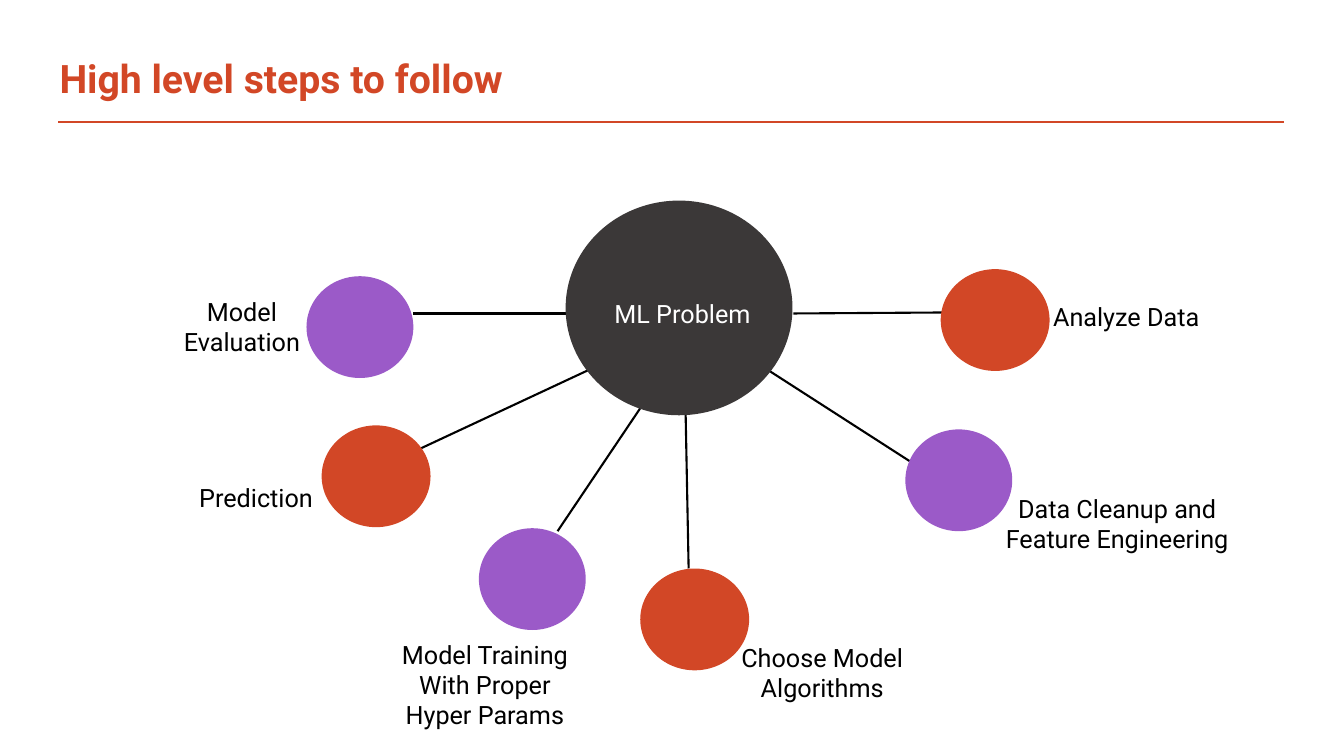
from dataclasses import dataclass

from lxml import etree
from pptx import Presentation
from pptx.dml.color import RGBColor
from pptx.enum.shapes import MSO_CONNECTOR, MSO_SHAPE
from pptx.enum.text import MSO_ANCHOR, MSO_AUTO_SIZE, PP_ALIGN
from pptx.oxml.ns import qn
from pptx.util import Inches, Pt

STRAIGHT = MSO_CONNECTOR.STRAIGHT
OVAL = MSO_SHAPE.OVAL
MIDDLE = MSO_ANCHOR.MIDDLE
GROW = MSO_AUTO_SIZE.SHAPE_TO_FIT_TEXT
LEFT, CENTER = PP_ALIGN.LEFT, PP_ALIGN.CENTER


@dataclass(frozen=True)
class Theme:
    accent: str = "D24726"
    violet: str = "9B5AC8"
    hub: str = "3B3838"
    ink: str = "000000"
    paper: str = "FFFFFF"
    font: str = "Roboto"
    title_size: float = 28
    label_size: float = 18
    rule_width: float = 2
    spoke_width: float = 1.5


THEME = Theme()
RED_NODE = (1.08, 1.01, THEME.accent)
VIOLET_NODE = (1.06, 1.01, THEME.violet)

STEPS = [
    (["Analyze Data"], (10.06, 2.94, 2.22, 0.4),
     RED_NODE, (9.33, 2.67), (7.87, 3.11), (9.36, 3.1)),
    (["Data Cleanup and Feature Engineering"], (9.82, 4.84, 2.52, 0.71),
     VIOLET_NODE, (8.98, 4.26), (7.6, 3.66), (9.03, 4.58)),
    (["Choose Model Algorithms"], (6.98, 6.32, 2.35, 0.71),
     RED_NODE, (6.35, 5.64), (6.8, 4.1), (6.83, 5.64)),
    (["Model Training", "With Proper Hyper Params"], (3.81, 6.29, 2, 1.01),
     VIOLET_NODE, (4.75, 5.24), (6.35, 4.05), (5.53, 5.27)),
    (["Prediction"], (1.54, 4.74, 2, 0.4),
     RED_NODE, (3.19, 4.22), (5.84, 3.67), (4.17, 4.45)),
    (["Model", "Evaluation"], (1.4, 2.89, 2, 0.71),
     VIOLET_NODE, (3.04, 2.74), (5.63, 3.11), (4.1, 3.11)),
]


def inches(values):
    return [Inches(v) for v in values]


def set_format(target, values):
    for name, value in values.items():
        setattr(target, name, value)


def style_font(font, size, color, bold=False):
    set_format(font, {"name": THEME.font, "size": Pt(size), "bold": bold})
    font.color.rgb = RGBColor.from_string(color)


def add_title(slide, text, box):
    sp = slide.shapes.title
    set_format(sp, dict(zip(("left", "top", "width", "height"), inches(box))))
    tf = sp.text_frame
    set_format(tf, {"word_wrap": True, "vertical_anchor": MIDDLE,
                    "auto_size": MSO_AUTO_SIZE.NONE})
    p = tf.paragraphs[0]
    set_format(p, {"alignment": LEFT, "line_spacing": 0.9})
    r = p.add_run()
    r.text = text
    style_font(r.font, THEME.title_size, THEME.accent, True)


def add_line(slide, start, end, color, width):
    line = slide.shapes.add_connector(STRAIGHT, *inches(start + end))
    line.line.color.rgb = RGBColor.from_string(color)
    line.line.width = Pt(width)
    etree.SubElement(line._element.spPr, qn("a:effectLst"))


def add_circle(slide, box, color):
    sp = slide.shapes.add_shape(OVAL, *inches(box))
    sp.shadow.inherit = False
    sp.fill.solid()
    sp.fill.fore_color.rgb = RGBColor.from_string(color)
    sp.line.fill.background()


def add_label(slide, lines, box, color):
    tf = slide.shapes.add_textbox(*inches(box)).text_frame
    set_format(tf, {"word_wrap": True, "auto_size": GROW})
    for i, text in enumerate(lines):
        p = tf.add_paragraph() if i else tf.paragraphs[0]
        p.alignment = CENTER
        r = p.add_run()
        r.text = text
        style_font(r.font, THEME.label_size, color)


def add_step(slide, lines, label_box, node, corner, start, end):
    width, height, color = node
    add_line(slide, start, end, THEME.ink, THEME.spoke_width)
    add_circle(slide, corner + (width, height), color)
    add_label(slide, lines, label_box, THEME.ink)


def main():
    prs = Presentation()
    prs.slide_width, prs.slide_height = inches((13.33, 7.5))
    slide = prs.slides.add_slide(prs.slide_layouts[5])
    add_title(slide, "High level steps to follow", (0.49, 0.45, 10, 0.7))
    add_line(slide, (0.58, 1.21), (12.74, 1.21), THEME.accent, THEME.rule_width)
    for step in STEPS:
        add_step(slide, *step)
    add_circle(slide, (5.61, 1.99, 2.25, 2.13), THEME.hub)
    add_label(slide, ["ML Problem"], (5.74, 2.91, 2.06, 0.4), THEME.paper)
    prs.save("out.pptx")


if __name__ == "__main__":
    main()
